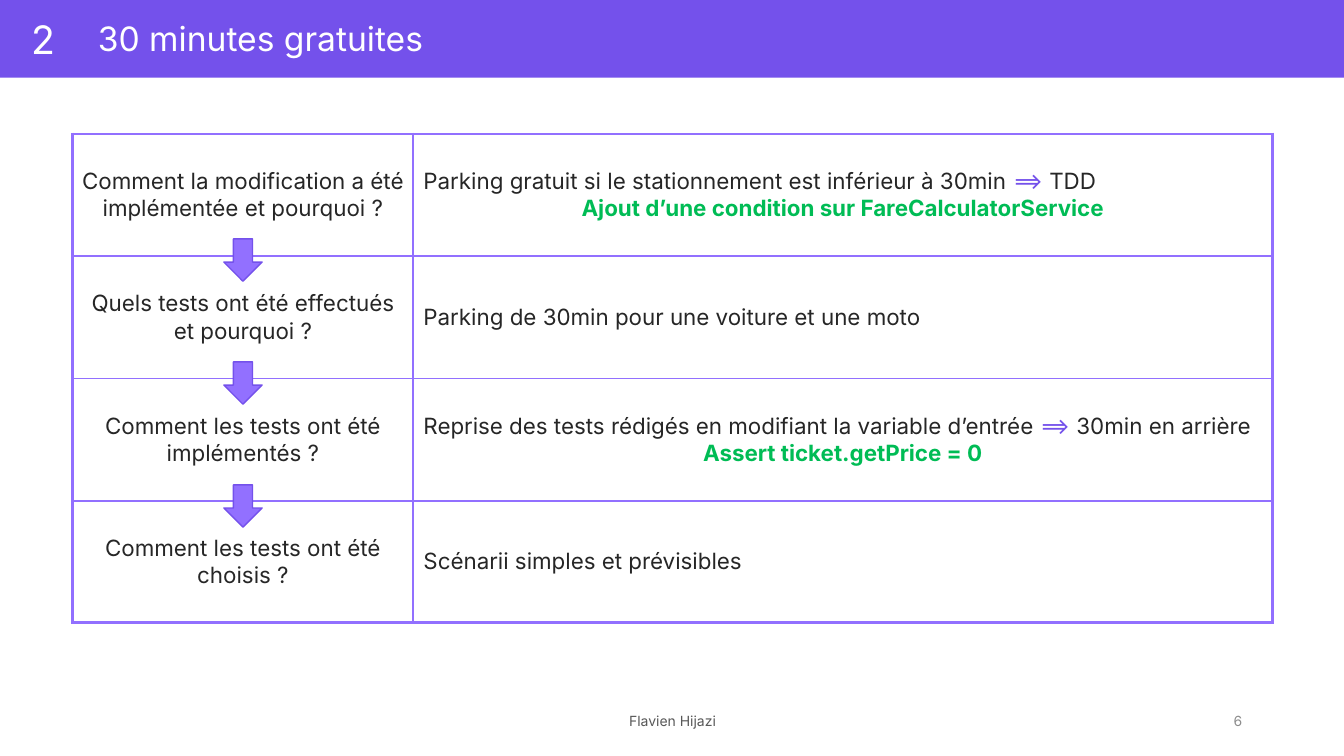
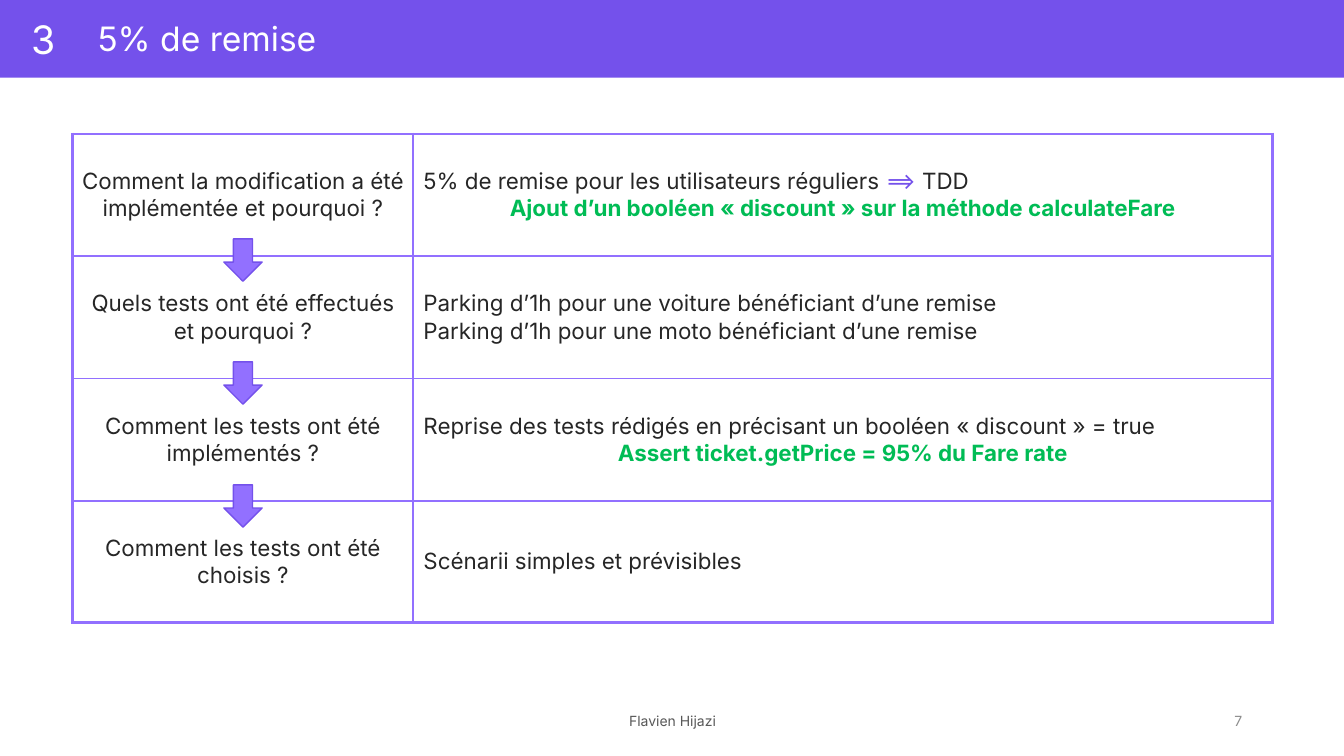
from lxml.etree import SubElement
from pptx import Presentation
from pptx.dml.color import RGBColor
from pptx.enum.shapes import MSO_SHAPE
from pptx.enum.text import MSO_ANCHOR, MSO_AUTO_SIZE, PP_ALIGN
from pptx.oxml.ns import qn
from pptx.util import Inches, Pt

FONT = "Inter"
AUTHOR = "Flavien Hijazi"
COLORS = {
    "band": "7451EB",
    "border": "9270FF",
    "white": "FFFFFF",
    "text": "262626",
    "result": "00BC55",
    "footer": "595959",
    "number": "8C8C8C",
}
IMPLIES = "⟹ "

TABLE_LEFT, TABLE_TOP, TABLE_HEIGHT = 0.72, 1.33, 4.85
COLUMNS = (3.38, 8.52)
ARROW_WIDTH, ARROW_HEIGHT, ARROW_STEP = 0.38, 0.42, 1.22

QUESTIONS = [
    "Comment la modification a été implémentée et pourquoi ?",
    "Quels tests ont été effectués et pourquoi ?",
    "Comment les tests ont été implémentés ?",
    "Comment les tests ont été choisis ?",
]

# Each answer is (plain lines, highlighted result or None)
SLIDES = [
    {
        "section": "2",
        "title": "30 minutes gratuites",
        "page": "6",
        "answers": [
            (["Parking gratuit si le stationnement est inférieur à 30min ⟹ TDD"],
             "Ajout d’une condition sur FareCalculatorService"),
            (["Parking de 30min pour une voiture et une moto"], None),
            (["Reprise des tests rédigés en modifiant la variable d’entrée ⟹ 30min en arrière"],
             "Assert ticket.getPrice = 0"),
            (["Scénarii simples et prévisibles"], None),
        ],
    },
    {
        "section": "3",
        "title": "5% de remise",
        "page": "7",
        "answers": [
            (["5% de remise pour les utilisateurs réguliers ⟹ TDD"],
             "Ajout d’un booléen « discount » sur la méthode calculateFare"),
            (["Parking d’1h pour une voiture bénéficiant d’une remise",
              "Parking d’1h pour une moto bénéficiant d’une remise"], None),
            (["Reprise des tests rédigés en précisant un booléen « discount » = true"],
             "Assert ticket.getPrice = 95% du Fare rate"),
            (["Scénarii simples et prévisibles"], None),
        ],
    },
]


def rgb(name):
    return RGBColor.from_string(COLORS[name])


def style(p, size, color, align=PP_ALIGN.LEFT, bold=False):
    p.alignment = align
    p.font.name = FONT
    p.font.size = Pt(size)
    p.font.bold = bold
    p.font.color.rgb = rgb(color)


def add_shape(slide, kind, box, fill, line=None):
    sp = slide.shapes.add_shape(kind, *map(Inches, box))
    sp.shadow.inherit = False
    sp.fill.solid()
    sp.fill.fore_color.rgb = rgb(fill)
    if line:
        sp.line.color.rgb = rgb(line)
        sp.line.width = Pt(1)
    else:
        sp.line.fill.background()
    return sp


def add_label(slide, box, text, size, color, align=PP_ALIGN.CENTER):
    tf = slide.shapes.add_textbox(*map(Inches, box)).text_frame
    tf.word_wrap = True
    tf.vertical_anchor = MSO_ANCHOR.MIDDLE
    p = tf.paragraphs[0]
    p.text = text
    style(p, size, color, align)


def add_header(slide, section, title):
    band = add_shape(slide, MSO_SHAPE.RECTANGLE, (0, 0, 13.33, 0.77), "band")
    sp = slide.shapes.title
    sp.element.addprevious(band.element)  # the band lies behind the title
    sp.left, sp.top, sp.width, sp.height = map(Inches, (0.87, 0.13, 8, 0.5))
    tf = sp.text_frame
    tf.text = title
    tf.auto_size = MSO_AUTO_SIZE.NONE
    tf.vertical_anchor = MSO_ANCHOR.MIDDLE
    style(tf.paragraphs[0], 24, "white")
    add_label(slide, (0, 0, 0.87, 0.77), section, 28, "white")


def add_footer(slide, page):
    add_label(slide, (9.42, 6.95, 3, 0.4), page, 10, "number", PP_ALIGN.RIGHT)
    add_label(slide, (4.42, 6.95, 4.5, 0.4), AUTHOR, 10, "footer")


def set_borders(cell, outer):
    """Draw all four sides, thicker on those named in outer."""
    tc_pr = cell._tc.get_or_add_tcPr()
    for side in "LRTB":
        width = Pt(2.25 if side in outer else 1.5)
        ln = SubElement(tc_pr, qn(f"a:ln{side}"), w=str(width))
        fill = SubElement(ln, qn("a:solidFill"))
        SubElement(fill, qn("a:srgbClr"), val=COLORS["border"])


def write_line(p, text):
    """Write a plain line, with its implication sign in the band colour."""
    style(p, 16, "text")
    before, sign, after = text.partition(IMPLIES)
    for part in filter(None, (before, sign, after)):
        r = p.add_run()
        r.text = part
        if part == IMPLIES:
            r.font.color.rgb = rgb("band")


def write_answer(tf, lines, result):
    for i, line in enumerate(lines):
        write_line(tf.add_paragraph() if i else tf.paragraphs[0], line)
    if result:
        p = tf.add_paragraph()
        p.text = result
        style(p, 16, "result", PP_ALIGN.CENTER, bold=True)


def add_question_table(slide, answers):
    last = len(QUESTIONS) - 1
    box = (TABLE_LEFT, TABLE_TOP, sum(COLUMNS), TABLE_HEIGHT)
    table = slide.shapes.add_table(
        len(QUESTIONS), len(COLUMNS), *map(Inches, box)).table
    table.first_row = table.horz_banding = False
    for column, width in zip(table.columns, COLUMNS):
        column.width = Inches(width)

    for row, (question, answer) in enumerate(zip(QUESTIONS, answers)):
        for col, side in enumerate("LR"):
            cell = table.cell(row, col)
            cell.vertical_anchor = MSO_ANCHOR.MIDDLE
            set_borders(cell, side + "T" * (row == 0) + "B" * (row == last))
            cell.fill.background()
        left, right = table.cell(row, 0), table.cell(row, 1)
        left.margin_left = left.margin_right = Inches(0.08)
        p = left.text_frame.paragraphs[0]
        p.text = question
        style(p, 16, "text", PP_ALIGN.CENTER)
        write_answer(right.text_frame, *answer)


def add_step_arrows(slide):
    x = TABLE_LEFT + (COLUMNS[0] - ARROW_WIDTH) / 2
    for i in range(len(QUESTIONS) - 1):
        box = (x, 2.37 + i * ARROW_STEP, ARROW_WIDTH, ARROW_HEIGHT)
        add_shape(slide, MSO_SHAPE.DOWN_ARROW, box, "border", "band")


def main():
    prs = Presentation()
    prs.slide_width, prs.slide_height = Inches(13.33), Inches(7.5)
    for content in SLIDES:
        slide = prs.slides.add_slide(prs.slide_layouts.get_by_name("Title Only"))
        add_header(slide, content["section"], content["title"])
        add_footer(slide, content["page"])
        add_question_table(slide, content["answers"])
        add_step_arrows(slide)
    prs.save("out.pptx")


if __name__ == "__main__":
    main()
